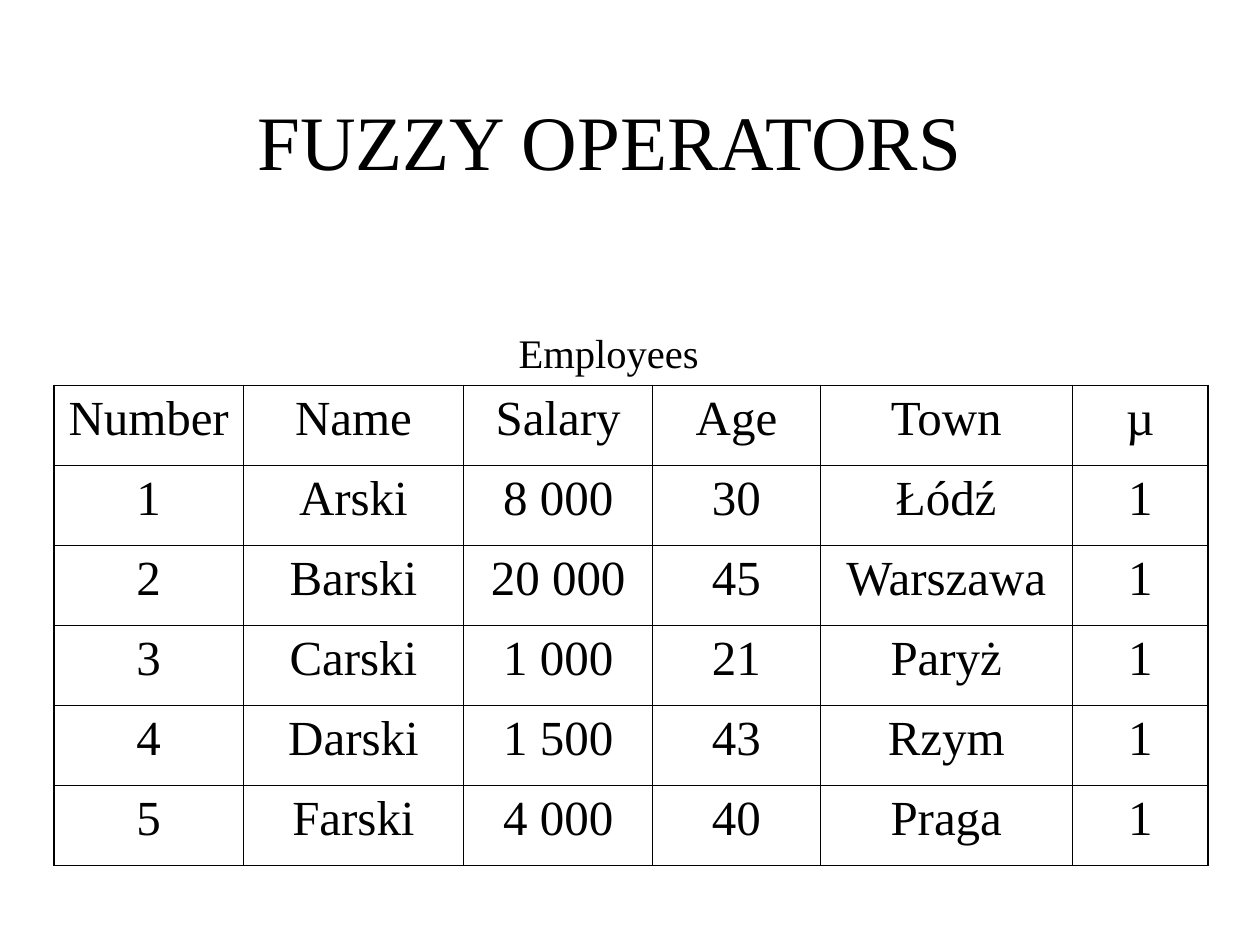
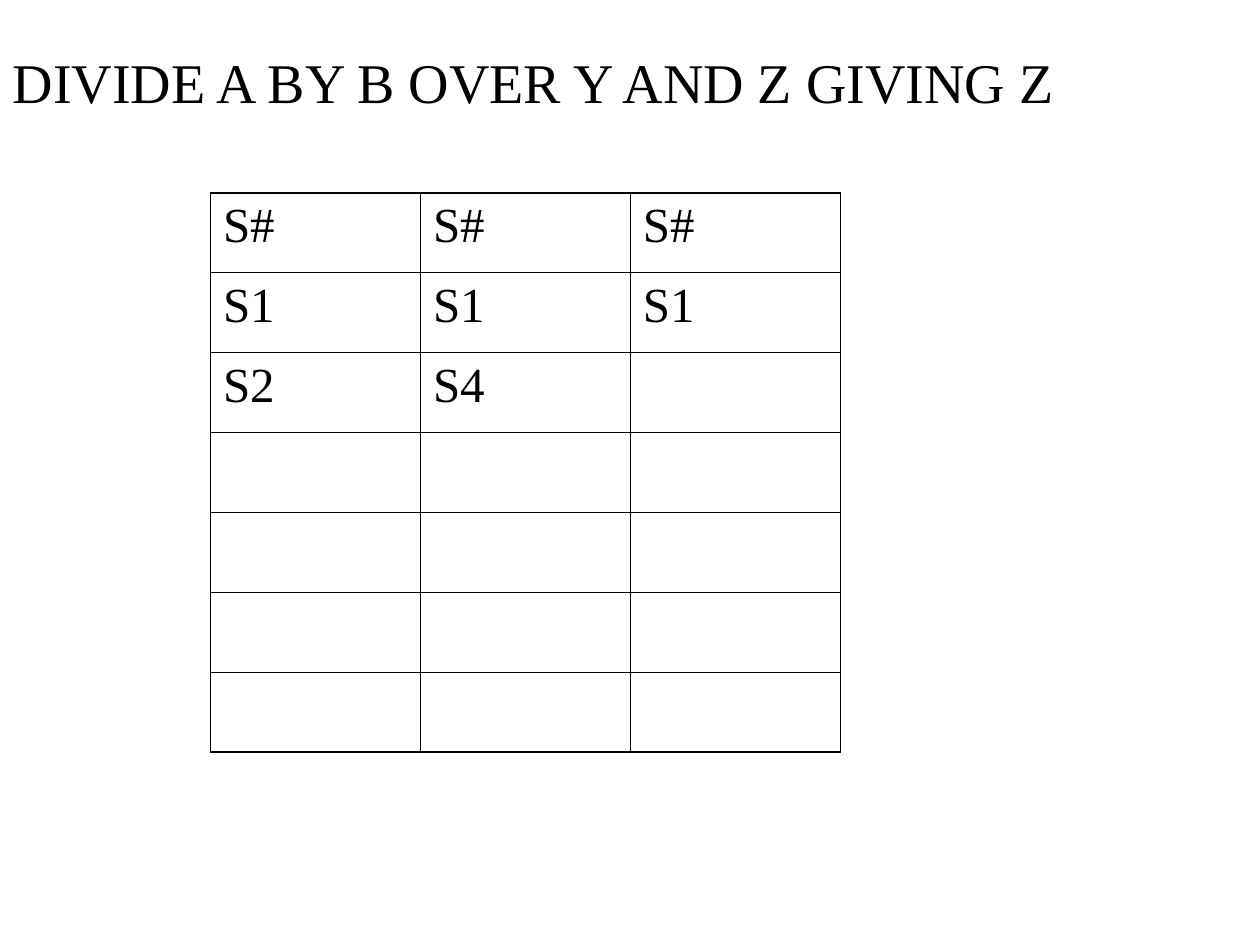
from pptx import Presentation
from pptx.dml.color import RGBColor
from pptx.enum.text import MSO_ANCHOR as Anchor, MSO_AUTO_SIZE as AutoSize, PP_ALIGN as Align
from pptx.oxml import parse_xml
from pptx.oxml.ns import nsdecls
from pptx.util import Inches, Pt

INK = RGBColor(0x00, 0x00, 0x00)
FONT = "Times New Roman"
OUTER, INNER = Pt(1.08), Pt(0.45)
TITLE_ONLY = 5

EMPLOYEES = [
    ("Number", "Name", "Salary", "Age", "Town", "µ"),
    ("1", "Arski", "8 000", "30", "Łódź", "1"),
    ("2", "Barski", "20 000", "45", "Warszawa", "1"),
    ("3", "Carski", "1 000", "21", "Paryż", "1"),
    ("4", "Darski", "1 500", "43", "Rzym", "1"),
    ("5", "Farski", "4 000", "40", "Praga", "1"),
]
SUPPLIERS = [("S#",) * 3, ("S1",) * 3, ("S2", "S4", "")] + [("",) * 3] * 4


def write(frame, text, size, align):
    """Put one formatted paragraph in a text frame and return it."""
    paragraph = frame.paragraphs[0]
    paragraph.text = text
    paragraph.alignment = align
    paragraph.space_before = Pt(0)
    for key, value in {"name": FONT, "size": Pt(size), "bold": False}.items():
        setattr(paragraph.font, key, value)
    paragraph.font.color.rgb = INK
    return paragraph


def set_frame(frame, anchor):
    """Make a text frame wrap, keep its size and anchor its text."""
    formats = {"word_wrap": True, "auto_size": AutoSize.NONE, "vertical_anchor": anchor}
    for key, value in formats.items():
        setattr(frame, key, value)


def add_heading(slide, box, text, size, align):
    """Move the title placeholder into a box and fill it."""
    title = slide.shapes.title
    for key, value in zip(("left", "top", "width", "height"), box):
        setattr(title, key, Inches(value))
    set_frame(title.text_frame, Anchor.MIDDLE)
    write(title.text_frame, text, size, align)


def add_caption(slide, box, text):
    """Add the lowered caption that stands over a table."""
    caption = slide.shapes.add_textbox(*map(Inches, box))
    set_frame(caption.text_frame, Anchor.TOP)
    paragraph = write(caption.text_frame, text, 40, Align.CENTER)
    paragraph.runs[0].font._element.set("baseline", "-25000")


def set_borders(cell, widths):
    """Draw the four borders of a cell, given as left, right, top and bottom widths."""
    properties = cell._tc.get_or_add_tcPr()
    for side, width in zip("LRTB", widths):
        properties.append(parse_xml(
            f'<a:ln{side} {nsdecls("a")} w="{int(width)}"><a:solidFill>'
            f'<a:srgbClr val="{INK}"/></a:solidFill></a:ln{side}>'))


def add_grid(slide, box, rows, column_widths, align):
    """Add a plain ruled table with a heavier outer frame."""
    row_count, column_count = len(rows), len(column_widths)
    grid = slide.shapes.add_table(row_count, column_count, *map(Inches, box)).table
    grid.first_row = grid.horz_banding = False
    for column, width in zip(grid.columns, column_widths):
        column.width = Inches(width)
    for r, row in enumerate(rows):
        grid.rows[r].height = Inches(box[3] / row_count)
        for c, text in enumerate(row):
            cell = grid.cell(r, c)
            edges = (c == 0, c == column_count - 1, r == 0, r == row_count - 1)
            set_borders(cell, [OUTER if edge else INNER for edge in edges])
            cell.fill.background()
            write(cell.text_frame, text, 28, align)


def build_employees(deck):
    """Build the slide with the employees relation."""
    slide = deck.slides.add_slide(deck.slide_layouts[TITLE_ONLY])
    add_heading(slide, (0.59, 0.36, 8.5, 1.49), "FUZZY OPERATORS", 44, Align.CENTER)
    add_caption(slide, (0.27, 2.18, 9.12, 0.86), "Employees")
    widths = (1.5, 1.75, 1.5, 1.33, 2, 1.08)
    add_grid(slide, (0.43, 3.06, sum(widths), 3.81), EMPLOYEES, widths, Align.CENTER)


def build_division(deck):
    """Build the slide with the division of relations."""
    slide = deck.slides.add_slide(deck.slide_layouts[TITLE_ONLY])
    add_heading(slide, (0, 0.28, 10, 0.73), "DIVIDE A BY B OVER Y AND Z GIVING Z", 32, Align.LEFT)
    add_grid(slide, (1.67, 1.53, 5, 4.44), SUPPLIERS, [5 / 3] * 3, Align.LEFT)


def main():
    """Build and save the deck."""
    deck = Presentation()
    deck.slide_width, deck.slide_height = Inches(10), Inches(7.5)
    build_employees(deck)
    build_division(deck)
    deck.save("out.pptx")


if __name__ == "__main__":
    main()
